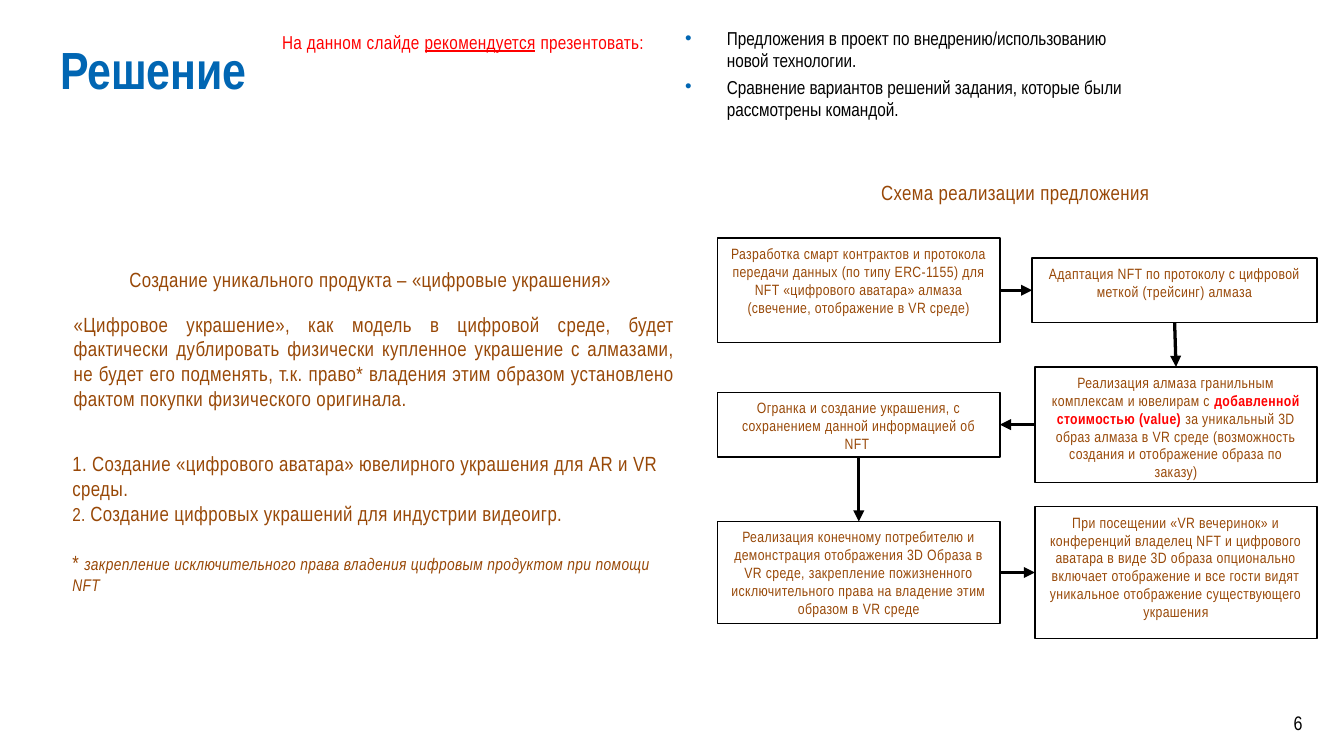
from lxml import etree
from pptx import Presentation
from pptx.dml.color import RGBColor
from pptx.enum.shapes import MSO_CONNECTOR, MSO_SHAPE
from pptx.enum.text import MSO_ANCHOR, PP_ALIGN
from pptx.oxml.ns import qn
from pptx.util import Inches, Pt

RECT, STRAIGHT = MSO_SHAPE.RECTANGLE, MSO_CONNECTOR.STRAIGHT
TOP, MIDDLE = MSO_ANCHOR.TOP, MSO_ANCHOR.MIDDLE
LEFT, CENTER, RIGHT, JUSTIFY = PP_ALIGN.LEFT, PP_ALIGN.CENTER, PP_ALIGN.RIGHT, PP_ALIGN.JUSTIFY
TOP_SIDE, LEFT_SIDE, BOTTOM_SIDE, RIGHT_SIDE = range(4)

FONT = "Arial Narrow"
BLUE, BROWN, RED, BLACK, WHITE = "0166B3", "984807", "FF0000", "000000", "FFFFFF"

TITLE = {"size": 28, "bold": True, "color": BLUE}
PLAIN = {"size": 10, "color": BLACK}
NUMBER = {"size": 10.5, "color": BLACK}
HINT = {"size": 10, "color": RED, "spc": 20}
BODY = {"size": 11, "color": BROWN, "spc": 20}
STEP = {"size": 8, "color": BROWN, "spc": 20}
ACCENT = STEP | {"color": RED, "bold": True}

LIST_PARAGRAPHS = [
    [("1. Создание «цифрового аватара» ювелирного украшения для AR и VR среды.", BODY)],
    [("2. ", BODY | {"size": 10}),
     ("Создание цифровых украшений для индустрии видеоигр.", BODY)],
    [("* ", BODY),
     ("закрепление исключительного права владения цифровым продуктом при помощи NFT",
      BODY | {"size": 9, "italic": True})],
]

TEXTS = [
    ((9.43, 5.23, 0.36, 0.3), RIGHT, MIDDLE, [[("6", NUMBER)]]),
    ((0.35, 0.23, 4.02, 0.78), LEFT, TOP, [[("Решение", TITLE)]]),
    ((2, 0.18, 2.92, 0.74), LEFT, TOP, [[
        ("На данном слайде ", HINT),
        ("рекомендуется", HINT | {"underline": True}),
        (" презентовать:", HINT)]]),
    ((0.44, 1.94, 4.67, 0.33), CENTER, TOP,
     [[("Создание уникального продукта – «цифровые украшения» ", BODY)]]),
    ((5.77, 1.29, 3.57, 0.33), CENTER, TOP, [[("Схема реализации предложения", BODY)]]),
    ((0.45, 2.27, 4.67, 0.87), JUSTIFY, TOP, [[
        ("«Цифровое украшение», как модель в цифровой среде, будет фактически дублировать "
         "физически купленное украшение с алмазами, не будет его подменять, т.к. право* "
         "владения этим образом установлено фактом покупки физического оригинала.", BODY)]]),
]
LIST_AREA = (0.44, 3.31, 4.67, 1.26)

BULLETS_AREA = (5, 0.15, 3.58, 0.77)
BULLETS = [
    [("Предложения в проект по внедрению/использованию новой технологии.", PLAIN)],
    [("Сравнение вариантов решений задания, которые были рассмотрены командой.", PLAIN)],
]

LEFT_COLUMN, RIGHT_COLUMN, STEP_WIDTH = 5.34, 7.7, 2.1
STEPS = [
    ((LEFT_COLUMN, 1.77, STEP_WIDTH, 0.78), [
        ("Разработка смарт контрактов и протокола передачи данных (по типу ERC-1155) для NFT "
         "«цифрового аватара» алмаза (свечение, отображение в VR среде)", STEP)]),
    ((7.68, 1.92, 2.12, 0.48), [
        ("Адаптация NFT по протоколу с цифровой меткой (трейсинг) алмаза", STEP)]),
    ((RIGHT_COLUMN, 2.73, STEP_WIDTH, 0.86), [
        ("Реализация алмаза гранильным комплексам и ювелирам с ", STEP),
        ("добавленной стоимостью (value) ", ACCENT),
        ("за уникальный 3D образ алмаза в VR среде (возможность создания и отображение "
         "образа по заказу)", STEP)]),
    ((LEFT_COLUMN, 2.92, STEP_WIDTH, 0.48), [
        ("Огранка и создание украшения, с сохранением данной информацией об NFT ", STEP)]),
    ((LEFT_COLUMN, 3.88, STEP_WIDTH, 0.76), [
        ("Реализация конечному потребителю и демонстрация отображения 3D Образа в VR среде, "
         "закрепление пожизненного исключительного права на владение этим образом в VR среде",
         STEP)]),
    ((RIGHT_COLUMN, 3.77, STEP_WIDTH, 0.98), [
        ("При посещении «VR вечеринок» и конференций владелец NFT и цифрового аватара в виде "
         "3D образа опционально включает отображение и все гости видят уникальное отображение "
         "существующего украшения", STEP)]),
]
FLOW = [
    (RIGHT_SIDE, LEFT_SIDE),
    (BOTTOM_SIDE, TOP_SIDE),
    (LEFT_SIDE, RIGHT_SIDE),
    (BOTTOM_SIDE, TOP_SIDE),
    (RIGHT_SIDE, LEFT_SIDE),
]


def color(value):
    return RGBColor.from_string(value)


def area(values):
    return [Inches(value) for value in values]


def write(shape, paragraphs, align, anchor=TOP):
    frame = shape.text_frame
    frame.word_wrap = True
    frame.vertical_anchor = anchor
    for index, runs in enumerate(paragraphs):
        paragraph = frame.add_paragraph() if index else frame.paragraphs[0]
        paragraph.alignment = align
        for text, style in runs:
            run = paragraph.add_run()
            run.text = text
            values = {"name": FONT} | style
            values["size"] = Pt(values["size"])
            run.font.color.rgb = color(values.pop("color"))
            run._r.get_or_add_rPr().set("spc", str(values.pop("spc", 0)))
            for key, value in values.items():
                setattr(run.font, key, value)
    return frame.paragraphs


def add_bullet(paragraph):
    properties = paragraph._p.get_or_add_pPr()
    properties.set("marL", str(Inches(0.31)))
    properties.set("indent", str(-Inches(0.31)))
    bullet_color = etree.SubElement(properties, qn("a:buClr"))
    etree.SubElement(bullet_color, qn("a:srgbClr"), val=BLUE)
    etree.SubElement(properties, qn("a:buFont"), typeface="Arial")
    etree.SubElement(properties, qn("a:buChar"), char="•")


def add_step(shapes, place, runs):
    step = shapes.add_shape(RECT, *area(place))
    step.shadow.inherit = False
    step.fill.solid()
    step.fill.fore_color.rgb = color(WHITE)
    step.line.color.rgb = color(BLACK)
    step.line.width = Pt(0.75)
    write(step, [runs], CENTER)
    return step


def add_arrow(shapes, source, source_side, target, target_side):
    arrow = shapes.add_connector(STRAIGHT, 0, 0, 0, 0)
    arrow.begin_connect(source, source_side)
    arrow.end_connect(target, target_side)
    arrow.line.color.rgb = color(BLACK)
    arrow.line.width = Pt(1.75)
    etree.SubElement(arrow.line._get_or_add_ln(), qn("a:tailEnd"), type="triangle")
    etree.SubElement(arrow._element.spPr, qn("a:effectLst"))


deck = Presentation()
deck.slide_width = Inches(10)
deck.slide_height = deck.slide_width * 9 // 16
shapes = deck.slides.add_slide(deck.slide_layouts[6]).shapes

for place, align, anchor, paragraphs in TEXTS:
    write(shapes.add_textbox(*area(place)), paragraphs, align, anchor)

for bullet in write(shapes.add_textbox(*area(BULLETS_AREA)), BULLETS, LEFT):
    bullet.space_before = Pt(2)
    add_bullet(bullet)

footnote = write(shapes.add_textbox(*area(LIST_AREA)), LIST_PARAGRAPHS, LEFT)[-1]
footnote.space_before = Pt(13.2)

steps = [add_step(shapes, place, runs) for place, runs in STEPS]
for source, target, (source_side, target_side) in zip(steps, steps[1:], FLOW):
    add_arrow(shapes, source, source_side, target, target_side)

deck.save("out.pptx")
